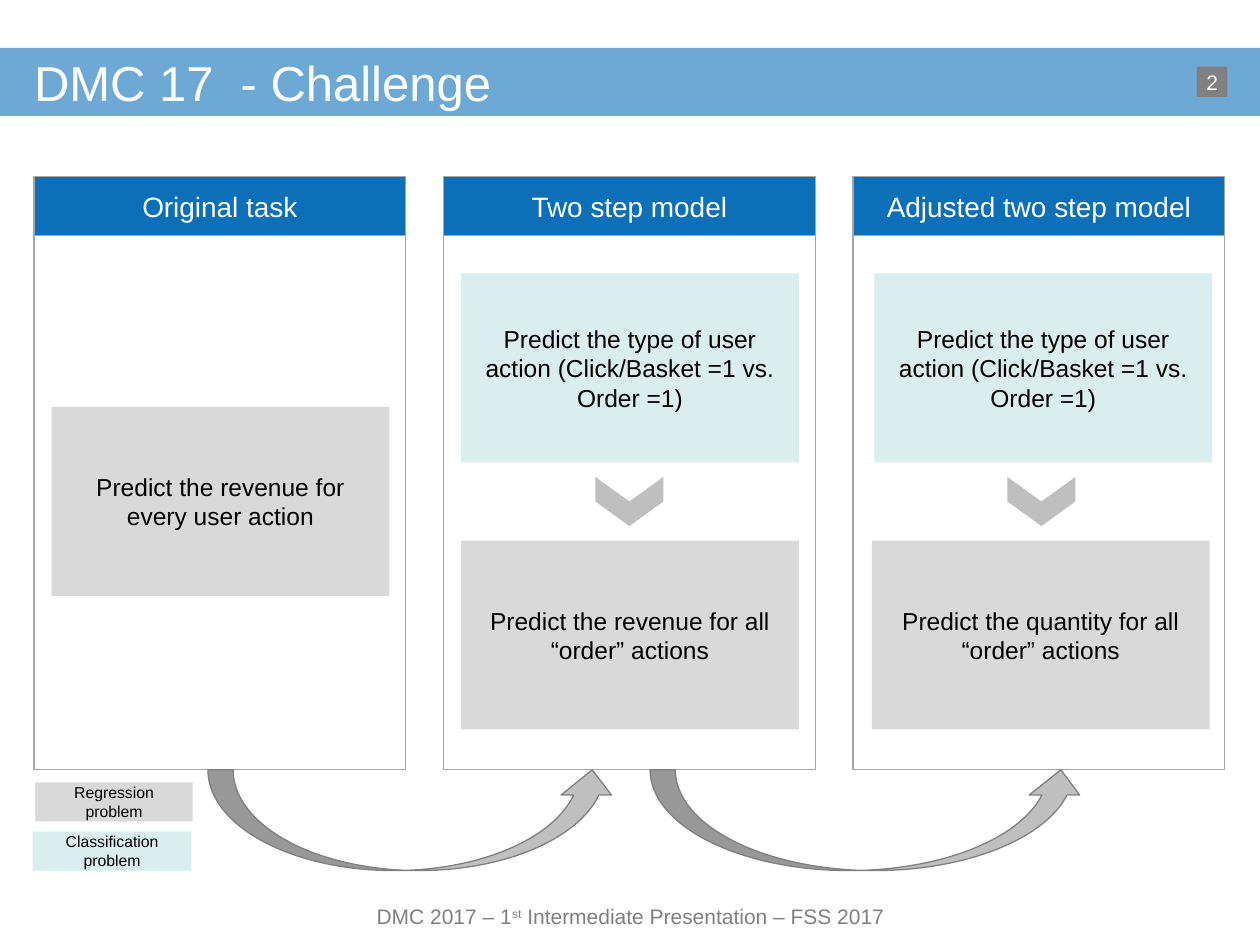
import pptx
import pptx.util
import pptx.dml.color
import pptx.enum.shapes
import pptx.enum.text
import pptx.oxml
import pptx.oxml.ns

Inches = pptx.util.Inches
SHAPE = pptx.enum.shapes.MSO_SHAPE
ALIGN = pptx.enum.text.PP_ALIGN

COLORS = {
    "blue": "0B70B8",
    "regression": "D9D9D9",
    "classification": "DAEDEF",
    "border": "A6A6A6",
    "arrow": "BFBFBF",
    "grey": "808080",
    "white": "FFFFFF",
    "black": "000000",
}
COLUMN_LEFT, COLUMN_STEP, COLUMN_WIDTH = 0.27, 3.25, 2.95
HEADER_TOP, HEADER_HEIGHT = 1.4, 0.47
BODY_TOP, BODY_HEIGHT = 1.87, 4.24
TASK_WIDTH, TASK_HEIGHT = 2.68, 1.5
STEP_TOPS = (2.17, 4.29)
CLASSIFY_TEXT = "Predict the type of user action (Click/Basket =1 vs.\nOrder =1)"


def rgb(name):
    return pptx.dml.color.RGBColor.from_string(COLORS[name])


def write_text(shape, text, size=14, color="black", align=ALIGN.CENTER,
               margins=(0.1, 0.05), wrap=True, superscript=None):
    """Write one paragraph; a line feed becomes a line break."""
    frame = shape.text_frame
    frame.word_wrap = wrap
    frame.vertical_anchor = pptx.enum.text.MSO_ANCHOR.MIDDLE
    frame.margin_left = frame.margin_right = Inches(margins[0])
    frame.margin_top = frame.margin_bottom = Inches(margins[1])
    paragraph = frame.paragraphs[0]
    paragraph.alignment = align
    pieces = text if isinstance(text, (list, tuple)) else [text]
    for piece in pieces:
        for number, line in enumerate(piece.split("\n")):
            if number:
                paragraph.add_line_break()
            run = paragraph.add_run()
            run.text = line
            run.font.name = "Arial"
            run.font.size = pptx.util.Pt(size)
            run.font.color.rgb = rgb(color)
            if piece == superscript:
                run.font._element.set("baseline", "30000")


def add_box(slide, left, top, width, height, fill=None, line=None, kind=SHAPE.RECTANGLE):
    shape = slide.shapes.add_shape(
        kind, Inches(left), Inches(top), Inches(width), Inches(height))
    shape.shadow.inherit = False
    if fill:
        shape.fill.solid()
        shape.fill.fore_color.rgb = rgb(fill)
    else:
        shape.fill.background()
    if line:
        shape.line.color.rgb = rgb(line)
        shape.line.width = pptx.util.Pt(0.75)
    else:
        shape.line.fill.background()
    return shape


def add_label(slide, left, top, width, height, text, **text_format):
    label = slide.shapes.add_textbox(
        Inches(left), Inches(top), Inches(width), Inches(height))
    write_text(label, text, margins=(0, 0), **text_format)


def add_column(slide, index, title):
    left = COLUMN_LEFT + index * COLUMN_STEP
    header = add_box(slide, left, HEADER_TOP, COLUMN_WIDTH, HEADER_HEIGHT, "blue", "border")
    write_text(header, title, size=16, color="white")
    add_box(slide, left, BODY_TOP, COLUMN_WIDTH, BODY_HEIGHT, line="border")


def add_task(slide, left, top, problem, text):
    task = add_box(slide, left, top, TASK_WIDTH, TASK_HEIGHT, problem)
    write_text(task, text)


def add_down_chevron(slide, left):
    chevron = add_box(slide, left, 3.71, 0.39, 0.54, "arrow", kind=SHAPE.CHEVRON)
    chevron.rotation = 90


def add_band(slide):
    band = add_box(slide, 0, 0.38, 10, 0.54, "blue")
    color = band.fill._xPr.find(".//" + pptx.oxml.ns.qn("a:srgbClr"))
    color.append(pptx.oxml.parse_xml(
        f'<a:alpha {pptx.oxml.ns.nsdecls("a")} val="60000"/>'))


def main():
    presentation = pptx.Presentation()
    presentation.slide_width = Inches(10)
    presentation.slide_height = Inches(7.5)
    slide = presentation.slides.add_slide(presentation.slide_layouts[6])

    # Title band, footer and page number
    add_band(slide)
    add_label(slide, 0.27, 0.38, 9.45, 0.54, "DMC 17  - Challenge",
              size=28, color="white", align=ALIGN.LEFT)
    add_label(slide, 2.64, 7.13, 4.73, 0.28,
              ["DMC 2017 – 1", "st", " Intermediate Presentation – FSS 2017"],
              size=12, color="grey", superscript="st")
    page_number = add_box(slide, 9.5, 0.53, 0.24, 0.24, "grey")
    write_text(page_number, "2", size=12, color="white", margins=(0, 0), wrap=False)

    # Columns
    for index, title in enumerate(
            ("Original task", "Two step model", "Adjusted two step model")):
        add_column(slide, index, title)

    # Curved arrows from one column to the next
    for left, width in ((1.65, 3.25), (5.16, 3.46)):
        add_box(slide, left, 6.11, width, 0.8, "arrow", "grey", SHAPE.CURVED_UP_ARROW)

    # Tasks in the columns
    add_task(slide, 0.41, 3.23, "regression", "Predict the revenue for every user action")
    for classify_left, regress_left, chevron_left, target in (
            (3.66, 3.66, 4.8, "revenue"), (6.94, 6.92, 8.07, "quantity")):
        add_task(slide, classify_left, STEP_TOPS[0], "classification", CLASSIFY_TEXT)
        add_task(slide, regress_left, STEP_TOPS[1], "regression",
                 f"Predict the {target} for all “order” actions")
        add_down_chevron(slide, chevron_left)

    # Legend
    for left, top, width, problem in (
            (0.28, 6.21, 1.25, "regression"), (0.26, 6.6, 1.26, "classification")):
        key = add_box(slide, left, top, width, 0.31, problem)
        write_text(key, f"{problem.capitalize()} problem", size=9)

    presentation.save("out.pptx")


if __name__ == "__main__":
    main()
